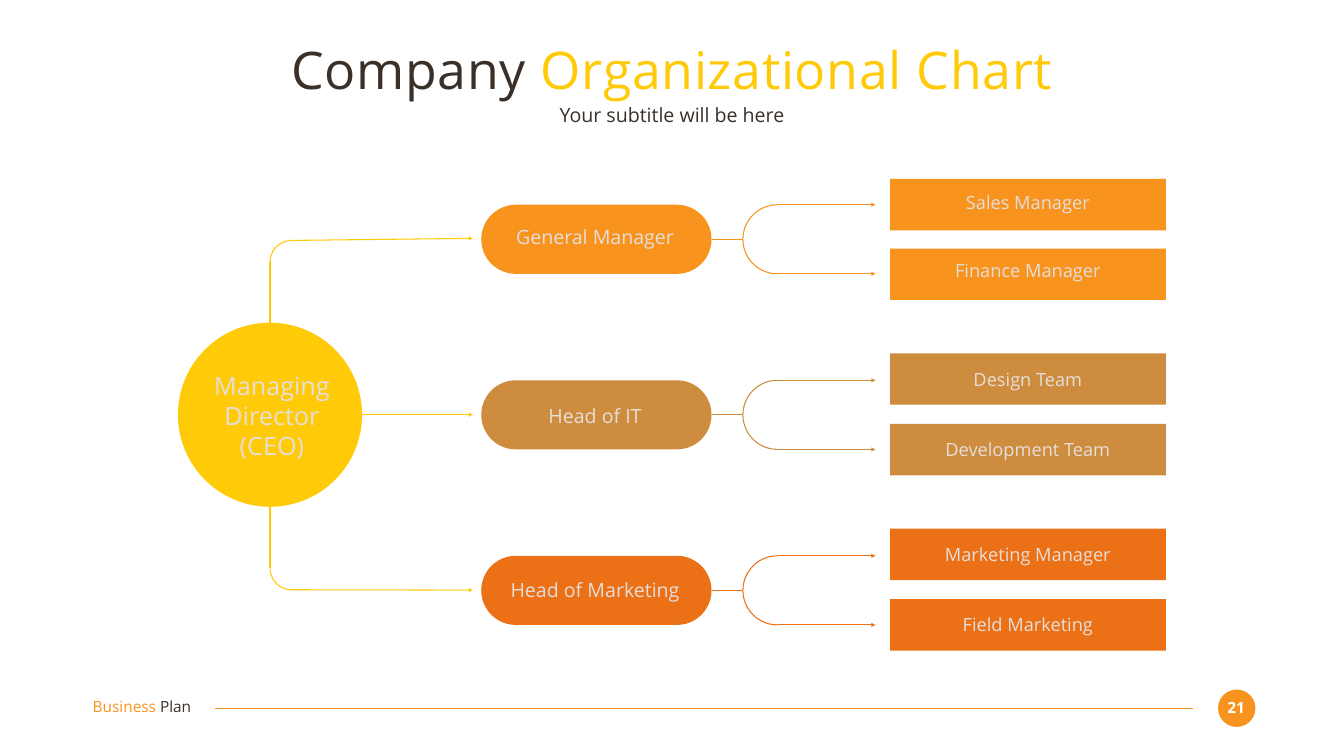
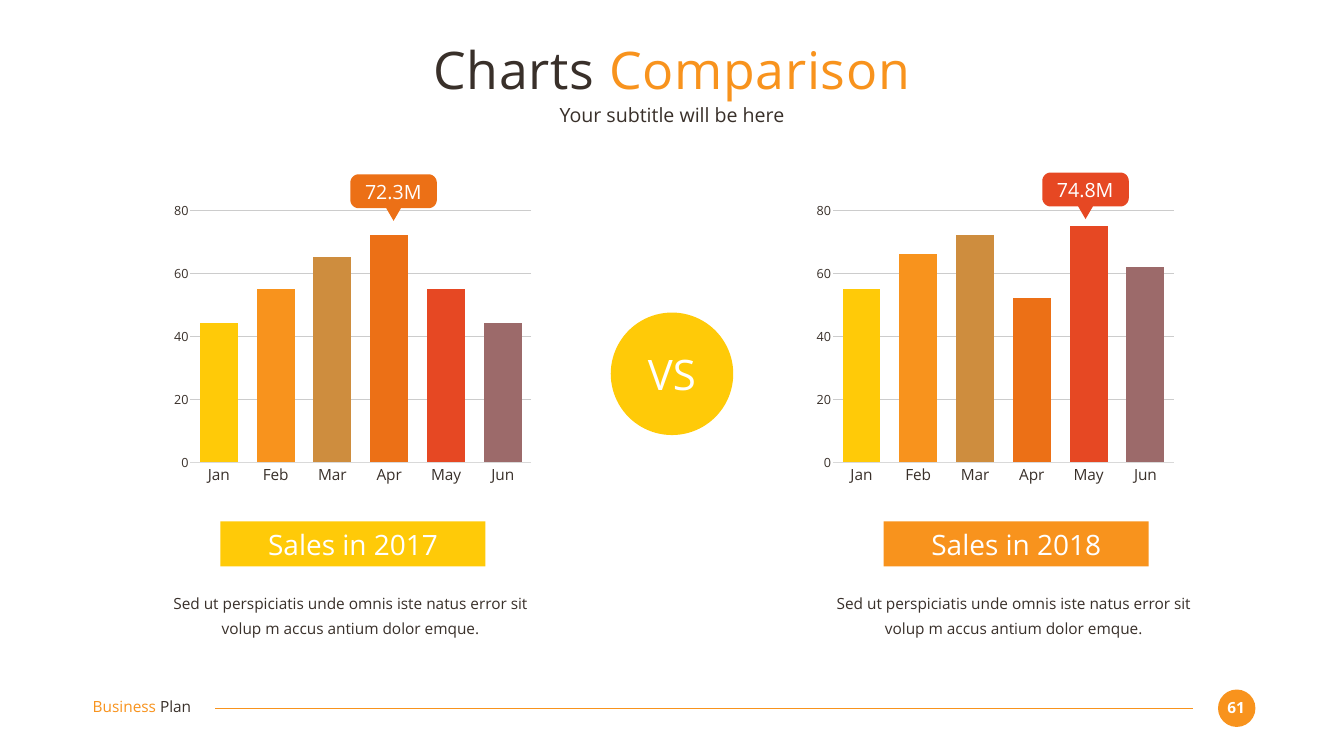
from math import cos, radians, sin

from lxml import etree
from pptx import Presentation
from pptx.chart.data import CategoryChartData
from pptx.dml.color import RGBColor
from pptx.enum.chart import XL_CHART_TYPE, XL_TICK_MARK
from pptx.enum.shapes import MSO_CONNECTOR, MSO_SHAPE
from pptx.enum.text import MSO_ANCHOR, MSO_AUTO_SIZE, PP_ALIGN
from pptx.oxml.ns import qn
from pptx.util import Pt

COLUMNS = XL_CHART_TYPE.COLUMN_CLUSTERED
NO_TICK = XL_TICK_MARK.NONE
STRAIGHT = MSO_CONNECTOR.STRAIGHT
OVAL, RECT = MSO_SHAPE.OVAL, MSO_SHAPE.RECTANGLE
PILL, ARC = MSO_SHAPE.ROUNDED_RECTANGLE, MSO_SHAPE.ARC
MIDDLE, TOP = MSO_ANCHOR.MIDDLE, MSO_ANCHOR.TOP
GROW, FIXED = MSO_AUTO_SIZE.SHAPE_TO_FIT_TEXT, MSO_AUTO_SIZE.NONE
LEFT, CENTER = PP_ALIGN.LEFT, PP_ALIGN.CENTER

YELLOW = RGBColor(0xFF, 0xCA, 0x08)
ORANGE = RGBColor(0xF8, 0x93, 0x1D)
BRONZE = RGBColor(0xCE, 0x8D, 0x3E)
RUST = RGBColor(0xEC, 0x70, 0x16)
RED = RGBColor(0xE6, 0x48, 0x23)
MAUVE = RGBColor(0x9C, 0x6A, 0x6A)
INK = RGBColor(0x39, 0x30, 0x2A)
CREAM = RGBColor(0xE5, 0xDE, 0xDB)
WHITE = RGBColor(0xFF, 0xFF, 0xFF)
AXIS_GREY = RGBColor(0xD9, 0xD9, 0xD9)
GRID_GREY = RGBColor(0xCC, 0xCC, 0xCC)

FONT = "Open Sans"
LINE_WIDTH = Pt(1.5)
FRAME = {"margin_left": 0, "margin_top": 0, "margin_right": 0, "margin_bottom": 0,
         "word_wrap": True}


def write(shape, paragraphs, size, bold=False, anchor=TOP, fit=GROW, **layout):
    frame = shape.text_frame
    for name, value in {**FRAME, "vertical_anchor": anchor, "auto_size": fit}.items():
        setattr(frame, name, value)
    for index, runs in enumerate(paragraphs):
        paragraph = frame.add_paragraph() if index else frame.paragraphs[0]
        for name, value in {"alignment": CENTER, **layout}.items():
            setattr(paragraph, name, value)
        for text, color in runs:
            run = paragraph.add_run()
            run.text = text
            for name, value in {"name": FONT, "size": Pt(size), "bold": bold}.items():
                setattr(run.font, name, value)
            run.font.color.rgb = color
    return frame


def paint(shape, color, outlined=False):
    shape.shadow.inherit = False
    if outlined:
        shape.fill.background()
        shape.line.color.rgb = color
        shape.line.width = LINE_WIDTH
    else:
        shape.fill.solid()
        shape.fill.fore_color.rgb = color
        shape.line.fill.background()
    return shape


deck = Presentation()
deck.slide_width, deck.slide_height = Pt(1920), Pt(1080)
title_only = deck.slide_layouts[5]
lines = []
slides = []

for dark_words, bright_words, accent, page in (
    ("Company ", "Organizational Chart", YELLOW, "21"),
    ("Charts ", "Comparison", ORANGE, "61"),
):
    slide = deck.slides.add_slide(title_only)
    slides.append(slide)
    shapes = slide.shapes
    title = shapes.title
    title.left, title.top, title.width, title.height = map(Pt, (132, 52.5, 1656, 91.5))
    heading = write(title, [[(dark_words, INK), (bright_words, accent)]], 74,
                    anchor=MIDDLE, fit=FIXED)
    for run in heading.paragraphs[0].runs:
        run.font._element.set("spc", "100")
    write(shapes.add_textbox(*map(Pt, (132, 146, 1656, 35.5))),
          [[("Your subtitle will be here", INK)]], 28, anchor=MIDDLE, fit=FIXED)

    paint(shapes.add_shape(OVAL, *map(Pt, (1740, 985, 53.5, 53.5))), ORANGE)
    write(shapes.add_textbox(*map(Pt, (1744.5, 997, 42.5, 26.5))),
          [[(page, WHITE)]], 22, bold=True)
    write(shapes.add_textbox(*map(Pt, (132.5, 996.5, 186.5, 26.5))),
          [[("Business ", ORANGE), ("Plan", INK)]], 22, alignment=LEFT)
    lines.append((slide, 307.5, 1011.5, 1704, 1011.5, ORANGE, False))

org_slide, sales_slide = slides

shapes = org_slide.shapes
ceo_x, ceo_y, ceo_radius = 385.75, 592.5, 131.5
paint(shapes.add_shape(OVAL, Pt(ceo_x - ceo_radius), Pt(ceo_y - ceo_radius),
                       Pt(2 * ceo_radius), Pt(2 * ceo_radius)), YELLOW)
write(shapes.add_textbox(*map(Pt, (268, 529, 241, 131))),
      [[("Managing Director", CREAM)], [("(CEO)", CREAM)]], 36)

bend = 61
arrow_tip = 675.5
for side, arm_y, tip_y, bend_top, turn in (
    (-1, 343.5, 340.5, 343.5, 270),
    (1, 842.5, 843, 781.5, 180),
):
    corner = paint(shapes.add_shape(ARC, Pt(ceo_x), Pt(bend_top), Pt(bend), Pt(bend)),
                   YELLOW, outlined=True)
    corner.rotation = turn
    lines.append((org_slide, ceo_x, ceo_y + side * ceo_radius,
                  ceo_x, arm_y - side * bend / 2, YELLOW, False))
    lines.append((org_slide, ceo_x + bend / 2, arm_y, arrow_tip, tip_y, YELLOW, True))
lines.append((org_slide, ceo_x + ceo_radius, ceo_y, arrow_tip, ceo_y, YELLOW, True))

head_left, head_width, head_height, row_pitch = 687.5, 329, 98.75, 250.75
fork_left = 1061.25
departments = (
    ("General Manager", 322, ORANGE,
     (("Sales Manager", 255.5, 273), ("Finance Manager", 355, 371))),
    ("Head of IT", 577.5, BRONZE,
     (("Design Team", 504.75, 525.5), ("Development Team", 605.5, 626.5))),
    ("Head of Marketing", 826, RUST,
     (("Marketing Manager", 755.25, 776), ("Field Marketing", 856, 876))),
)
for row, (head, head_text_top, color, teams) in enumerate(departments):
    head_top = 292.5 + row * row_pitch
    head_middle = head_top + head_height / 2
    pill = paint(shapes.add_shape(PILL, Pt(head_left), Pt(head_top),
                                  Pt(head_width), Pt(head_height)), color)
    pill.adjustments[0] = 0.5
    write(shapes.add_textbox(Pt(711.5), Pt(head_text_top), Pt(277), Pt(34)),
          [[(head, CREAM)]], 28)

    fork = paint(shapes.add_shape(ARC, Pt(fork_left), Pt(head_top),
                                  Pt(head_height), Pt(head_height)), color, outlined=True)
    fork.adjustments[0], fork.adjustments[1] = 162, 54
    fork.rotation = 180
    lines.append((org_slide, head_left + head_width, head_middle,
                  fork_left, head_middle, color, False))

    for branch, (team, team_top, team_text_top) in enumerate(teams):
        branch_y = head_top + branch * head_height
        lines.append((org_slide, fork_left + head_height / 2, branch_y,
                      1250.75, branch_y, color, True))
        paint(shapes.add_shape(RECT, Pt(1271.5), Pt(team_top), Pt(394), Pt(73.5)), color)
        write(shapes.add_textbox(Pt(1330), Pt(team_text_top), Pt(277), Pt(31.5)),
              [[(team, CREAM)]], 26)

shapes = sales_slide.shapes
paint(shapes.add_shape(OVAL, *map(Pt, (872.5, 446.5, 175, 175))), YELLOW)
write(shapes.add_textbox(*map(Pt, (908, 497.5, 103.5, 72.5))), [[("VS", WHITE)]], 60)

months = ("Jan", "Feb", "Mar", "Apr", "May", "Jun")
month_colors = (YELLOW, ORANGE, BRONZE, RUST, RED, MAUVE)
note = "Sed ut perspiciatis unde omnis iste natus error sit volup m accus antium dolor emque."
plot_area_share = {"x": 0.065, "y": 0.048, "w": 0.915, "h": 0.856}
callout_width, callout_height, radius, pointer, pointer_drop = 123.5, 48.5, 12, 10.5, 18

for year, sales, chart_left, banner_left, banner_color, peak, peak_color, tag_left, tag_top in (
    ("2017", (44, 55, 65, 72, 55, 44), 237.5, 314.75, YELLOW, "72.3M", RUST, 500.5, 249),
    ("2018", (55, 66, 72, 52, 75, 62), 1155.5, 1262.25, ORANGE, "74.8M", RED, 1489, 246.5),
):
    data = CategoryChartData()
    data.categories = months
    data.add_series("Series 1", sales)
    chart = shapes.add_chart(COLUMNS, Pt(chart_left), Pt(280), Pt(532), Pt(420.5), data).chart
    chart.has_legend = False
    chart.has_title = False
    month_axis, sales_axis = chart.category_axis, chart.value_axis
    for text_owner, size in ((chart, 22), (month_axis.tick_labels, 22),
                             (sales_axis.tick_labels, 18)):
        for name, value in {"name": FONT, "size": Pt(size)}.items():
            setattr(text_owner.font, name, value)
        text_owner.font.color.rgb = INK
    for axis in (month_axis, sales_axis):
        axis.major_tick_mark = axis.minor_tick_mark = NO_TICK
    for name, value in {"minimum_scale": 0, "maximum_scale": 80, "major_unit": 20,
                        "has_major_gridlines": True}.items():
        setattr(sales_axis, name, value)
    for rule, color, width in (
        (month_axis.format.line, AXIS_GREY, 0.75),
        (sales_axis.major_gridlines.format.line, GRID_GREY, 1),
    ):
        rule.color.rgb = color
        rule.width = Pt(width)
    sales_axis.format.line.fill.background()

    plot = chart.plots[0]
    plot.gap_width = 50
    plot.vary_by_categories = False
    series = plot.series[0]
    series.format.fill.solid()
    series.format.fill.fore_color.rgb = YELLOW
    for index, color in enumerate(month_colors[1:], start=1):
        column_fill = series.points[index].format.fill
        column_fill.solid()
        column_fill.fore_color.rgb = color

    plot_area = chart._chartSpace.chart.plotArea
    for automatic in plot_area.findall(qn("c:layout")):
        plot_area.remove(automatic)
    layout = etree.Element(qn("c:layout"))
    manual = etree.SubElement(layout, qn("c:manualLayout"))
    for tag, value in {"layoutTarget": "inner", "xMode": "edge", "yMode": "edge",
                       **plot_area_share}.items():
        etree.SubElement(manual, qn("c:" + tag)).set("val", str(value))
    plot_area.insert(0, layout)

    paint(shapes.add_shape(RECT, Pt(banner_left), Pt(745), Pt(378.5), Pt(64)), banner_color)
    write(shapes.add_textbox(Pt(banner_left + 53), Pt(753), Pt(273), Pt(48)),
          [[("Sales in " + year, WHITE)]], 40)
    write(shapes.add_textbox(Pt(banner_left - 88), Pt(837.5), Pt(548), Pt(75)),
          [[(note, INK)]], 22, line_spacing=1.4, space_after=Pt(36))

    tag_right, tag_bottom = tag_left + callout_width, tag_top + callout_height
    tag_middle = tag_left + callout_width / 2
    outline = []
    for corner_x, corner_y, start in (
        (tag_left + radius, tag_top + radius, 180),
        (tag_right - radius, tag_top + radius, 270),
        (tag_right - radius, tag_bottom - radius, 0),
        (tag_left + radius, tag_bottom - radius, 90),
    ):
        if start == 90:
            outline += [(tag_middle + pointer, tag_bottom),
                        (tag_middle, tag_bottom + pointer_drop),
                        (tag_middle - pointer, tag_bottom)]
        outline += [(corner_x + radius * cos(radians(angle)),
                     corner_y + radius * sin(radians(angle)))
                    for angle in range(start, start + 91, 10)]
    points = [(Pt(x), Pt(y)) for x, y in outline]
    builder = shapes.build_freeform(*points[0])
    builder.add_line_segments(points[1:], close=True)
    paint(builder.convert_to_shape(), peak_color)
    write(shapes.add_textbox(Pt(tag_left + 9.5), Pt(tag_top + 8), Pt(103.5), Pt(34)),
          [[(peak, WHITE)]], 28)

for slide, start_x, start_y, end_x, end_y, color, has_arrow in lines:
    connector = slide.shapes.add_connector(STRAIGHT, Pt(start_x), Pt(start_y),
                                           Pt(end_x), Pt(end_y))
    connector.line.color.rgb = color
    connector.line.width = LINE_WIDTH
    if has_arrow:
        etree.SubElement(connector.line._get_or_add_ln(), qn("a:tailEnd")).set("type", "triangle")
    etree.SubElement(connector._element.spPr, qn("a:effectLst"))

deck.save("out.pptx")
